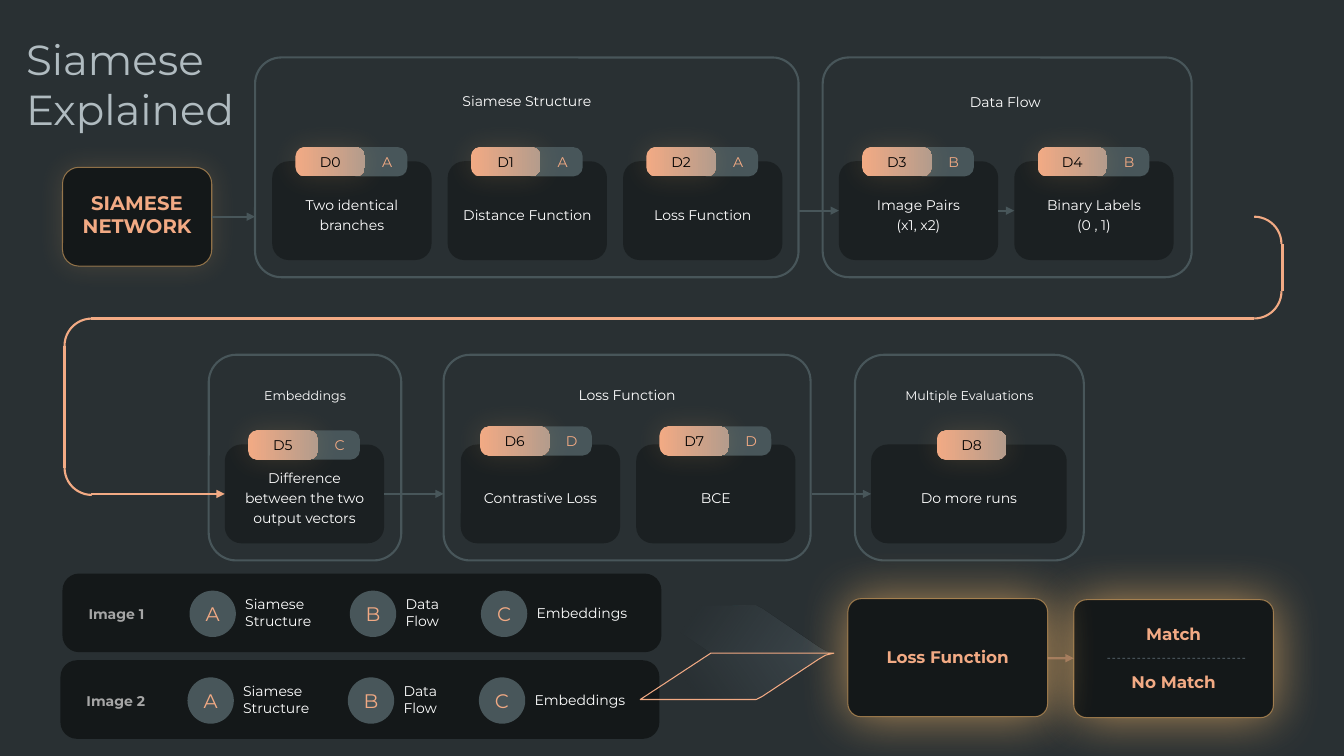
from dataclasses import dataclass
from typing import Optional

from lxml.etree import SubElement
from pptx import Presentation
from pptx.dml.color import RGBColor
from pptx.enum.dml import MSO_LINE
from pptx.enum.shapes import MSO_CONNECTOR, MSO_SHAPE
from pptx.enum.text import MSO_ANCHOR, PP_ALIGN
from pptx.oxml.ns import qn
from pptx.util import Cm, Pt

BACK = RGBColor(0x29, 0x30, 0x33)
DARK = RGBColor(0x14, 0x18, 0x19)
SLATE = RGBColor(0x48, 0x56, 0x5A)
PEACH = RGBColor(0xF2, 0xAA, 0x84)
SAND = RGBColor(0xB4, 0x9C, 0x8C)
GOLD = RGBColor(0xFF, 0xBE, 0x6C)
STEEL = RGBColor(0x3D, 0x47, 0x4C)
DASH = RGBColor(0x76, 0x89, 0x92)
MIST = RGBColor(0xB0, 0xBB, 0xC0)
GREY = RGBColor(0xA6, 0xA6, 0xA6)
WHITE = RGBColor(0xFF, 0xFF, 0xFF)
BLACK = RGBColor(0, 0, 0)
ROUND = MSO_SHAPE.ROUNDED_RECTANGLE
LEFT, MID = PP_ALIGN.LEFT, PP_ALIGN.CENTER


@dataclass
class Frame:
    title: str
    x: float
    y: float
    w: float
    h: float
    adj: float
    top: float
    size: int = 10
    shift: float = 0


@dataclass
class Step:
    code: str
    tag: str
    text: str
    x: float
    y: float
    w: float = 1.58
    dx: float = 0.23
    rise: float = 0.14


@dataclass
class Link:
    x1: float
    y1: float
    x2: float
    y2: float
    color: RGBColor = SLATE
    head: bool = True
    width: float = 1.5
    alpha: int = 100
    dash: bool = False


@dataclass
class Part:
    letter: str
    text: str
    x: float
    w: float


FRAMES = [
    Frame("Siamese Structure", 2.53, 0.57, 5.39, 2.18, 0.119, 0.85),
    Frame("Data Flow", 8.16, 0.57, 3.66, 2.18, 0.119, 0.86, shift=-0.02),
    Frame("Embeddings", 2.07, 3.52, 1.91, 2.04, 0.143, 3.76, 9),
    Frame("Loss Function", 4.4, 3.52, 3.64, 2.04, 0.128, 3.76),
    Frame("Multiple Evaluations", 8.48, 3.52, 2.27, 2.04, 0.142, 3.76, 9),
]
STEPS = [
    Step("D0", "A", "Two identical branches", 2.7, 1.6),
    Step("D1", "A", "Distance Function", 4.44, 1.6),
    Step("D2", "A", "Loss Function", 6.18, 1.6),
    Step("D3", "B", "Image Pairs\n(x1, x2)", 8.32, 1.6),
    Step("D4", "B", "Binary Labels\n(0 , 1)", 10.06, 1.6),
    Step("D5", "C", "Difference between the two output vectors", 2.23, 4.41),
    Step("D6", "D", "Contrastive Loss", 4.57, 4.41, dx=0.19, rise=0.18),
    Step("D7", "D", "BCE", 6.31, 4.41, rise=0.18),
    Step("D8", "", "Do more runs", 8.64, 4.41, 1.94, 0.65),
]
LINKS = [
    Link(2.1, 2.15, 2.53, 2.15), Link(7.92, 2.09, 8.32, 2.09),
    Link(9.9, 2.09, 10.06, 2.09), Link(3.81, 4.9, 4.4, 4.9),
    Link(8.05, 4.9, 8.64, 4.9),
    # Route between the two rows
    Link(12.72, 2.42, 12.72, 2.89, PEACH, False),
    Link(12.44, 3.16, 0.9, 3.16, PEACH, False),
    Link(0.64, 3.43, 0.64, 4.64, PEACH, False),
    Link(0.9, 4.9, 2.23, 4.9, PEACH),
]
BENDS = [(12.17, 2.15, 0), (12.17, 2.62, 90), (0.64, 4.37, 180), (0.64, 3.16, 270)]
PARTS = [
    Part("A", "Siamese Structure", 1.88, 1.53),
    Part("B", "Data\nFlow", 3.47, 1.36),
    Part("C", "Embeddings", 4.77, 1.52),
]


def unit(inch: float) -> Cm:
    return Cm(inch * 2.54)


def fade(node, share: float) -> None:
    for tint in node.iter(qn("a:srgbClr")):
        SubElement(tint, qn("a:alpha"), val=str(int(share * 1000)))


def blend(fill, first: RGBColor, last: RGBColor, angle: float = 0) -> None:
    fill.gradient()
    fill.gradient_angle = angle
    for stop, color in zip(fill.gradient_stops, (first, last)):
        stop.color.rgb = color


def block(slide, x: float, y: float, w: float, h: float, kind=ROUND, adj=None,
          fill=None, line=None, width: float = 1.5):
    shape = slide.shapes.add_shape(kind, unit(x), unit(y), unit(w), unit(h))
    shape.shadow.inherit = False
    if adj is not None:
        shape.adjustments[0] = adj
    if fill is None:
        shape.fill.background()
    else:
        shape.fill.solid()
        shape.fill.fore_color.rgb = fill
    if line is None:
        shape.line.fill.background()
    else:
        shape.line.color.rgb = line
        shape.line.width = Pt(width)
    return shape


def glow(shape, share: float, blur: float) -> None:
    effect = shape._element.spPr.find(qn("a:effectLst"))
    shade = SubElement(effect, qn("a:outerShdw"), blurRad=str(Pt(blur)), dist="0",
                       algn="ctr", rotWithShape="0")
    SubElement(shade, qn("a:srgbClr"), val=str(GOLD))
    fade(shade, share)


def write(shape, text: str, size: float, color: RGBColor, inset=(0, 0, 0, 0),
          align=MID, bold: bool = False, pitch: float = 0, gap: float = 0,
          anchor=MSO_ANCHOR.MIDDLE, wrap: bool = True) -> None:
    frame = shape.text_frame
    frame.word_wrap = wrap
    frame.vertical_anchor = anchor
    (frame.margin_left, frame.margin_top,
     frame.margin_right, frame.margin_bottom) = map(unit, inset)
    frame.text = text
    for index, para in enumerate(frame.paragraphs):
        para.alignment = align
        para.font.name = "Montserrat"
        para.font.size = Pt(size)
        para.font.bold = bold
        para.font.color.rgb = color
        if pitch:
            para.line_spacing = Pt(pitch)
        if gap and index:
            para.space_before = Pt(gap)


def label(slide, x: float, y: float, w: float, h: float, *args, **style) -> None:
    box = slide.shapes.add_textbox(unit(x), unit(y), unit(w), unit(h))
    write(box, *args, **style)


def join(slide, link: Link) -> None:
    line = slide.shapes.add_connector(MSO_CONNECTOR.STRAIGHT, *map(
        unit, (link.x1, link.y1, link.x2, link.y2)))
    line.line.color.rgb = link.color
    line.line.width = Pt(link.width)
    if link.dash:
        line.line.dash_style = MSO_LINE.DASH
    props = line._element.spPr
    stroke = props.find(qn("a:ln"))
    if link.alpha < 100:
        fade(stroke, link.alpha)
    if link.head:
        SubElement(stroke, qn("a:tailEnd"), type="triangle")
    SubElement(props, qn("a:effectLst"))


def step(slide, item: Step) -> None:
    card = block(slide, item.x, item.y, item.w, 0.98, fill=DARK)
    fade(card._element.spPr.find(qn("a:solidFill")), 65)
    write(card, item.text, 10, WHITE, (0.1, 0.1, 0.1, 0.05), pitch=14)
    x, y = item.x + item.dx, item.y - item.rise
    if item.tag:
        tag = block(slide, x + 0.51, y, 0.6, 0.29, adj=0.318, fill=SLATE)
        write(tag, item.tag, 10, PEACH, (0.2, 0, 0, 0))
    chip = block(slide, x, y, 0.69, 0.29, adj=0.318)
    blend(chip.fill, PEACH, SAND)
    glow(chip, 15, 20)
    write(chip, item.code, 10, BLACK)


def panel(slide, name: str, dx: float, dy: float) -> None:
    block(slide, 0.62 + dx, 5.69 + dy, 5.94, 0.78, adj=0.212, fill=DARK)
    label(slide, 0.78 + dx, 5.86 + dy, 0.94, 0.46, name, 10, GREY,
          (0.1, 0, 0.1, 0), LEFT, True)
    for part in PARTS:
        body = block(slide, part.x + dx, 5.85 + dy, part.w, 0.46, adj=0.318)
        write(body, part.text, 10, WHITE, (0.51, 0, 0, 0), LEFT)
        disc = block(slide, part.x + dx, 5.86 + dy, 0.46, 0.46, MSO_SHAPE.OVAL, fill=SLATE)
        write(disc, part.letter, 14, PEACH)


def sheet(slide, top: float, flip: bool, line: Optional[RGBColor]) -> None:
    dots = [(1.92, 0), (0.7, 0), (0, 0.46), (1.09, 0.46), (1.15, 0.46),
            (1.21, 0.43), (1.77, 0.06), (1.84, 0.02)]
    dots = [(unit(6.35 + x), unit(top + (0.46 - y if flip else y))) for x, y in dots]
    build = slide.shapes.build_freeform(*dots[0])
    build.add_line_segments(dots[1:], close=True)
    shape = build.convert_to_shape()
    shape.shadow.inherit = False
    blend(shape.fill, STEEL, STEEL, 144 if flip else 216)
    stops = shape._element.spPr.find(qn("a:gradFill")).findall(".//" + qn("a:gs"))
    stops[1].set("pos", "74000")
    fade(stops[1], 0)
    if line is None:
        shape.line.fill.background()
    else:
        shape.line.color.rgb = line
        shape.line.width = Pt(0.75)


def lit(slide, x: float, y: float, w: float, h: float, adj: float, share: float, blur: float):
    shape = block(slide, x, y, w, h, adj=adj, fill=DARK, line=GOLD, width=0.75)
    fade(shape._element.spPr.find(qn("a:ln")), 50)
    glow(shape, share, blur)
    return shape


def main() -> None:
    deck = Presentation()
    deck.slide_width, deck.slide_height = unit(13.33), unit(7.5)
    slide = deck.slides.add_slide(deck.slide_layouts[6])
    slide.background.fill.solid()
    slide.background.fill.fore_color.rgb = BACK

    # Heading and start box
    label(slide, 0.16, 0.28, 2.4, 1.11, "Siamese\nExplained", 30, MIST,
          (0.1, 0.05, 0.1, 0.05), LEFT, anchor=MSO_ANCHOR.TOP)
    start = lit(slide, 0.62, 1.66, 1.48, 0.98, 0.167, 15, 20)
    write(start, "SIAMESE\nNETWORK", 14, PEACH, (0.1, 0, 0.1, 0.05), bold=True)

    # Stages, steps and route
    for item in FRAMES:
        block(slide, item.x, item.y, item.w, item.h, adj=item.adj, line=SLATE)
        label(slide, item.x + item.shift, item.top, item.w, 0.28, item.title,
              item.size, WHITE, (0.1, 0.05, 0.1, 0.05), pitch=14)
    for item in STEPS:
        step(slide, item)
    for link in LINKS:
        join(slide, link)
    for x, y, turn in BENDS:
        bend = block(slide, x, y, 0.54, 0.54, MSO_SHAPE.ARC, line=PEACH)
        bend.rotation = turn

    # Image rows and the fold towards the result
    panel(slide, "Image 1", 0, 0)
    panel(slide, "Image 2", -0.02, 0.86)
    sheet(slide, 6.01, True, None)
    sheet(slide, 6.48, False, PEACH)

    # Result
    match = lit(slide, 10.65, 5.95, 1.98, 1.17, 0.111, 63, 37.4)
    write(match, "Match\nNo Match", 12, PEACH, (0.2, 0, 0.2, 0.05), bold=True,
          pitch=17, gap=17)
    join(slide, Link(12.35, 6.53, 10.98, 6.53, DASH, False, 0.5, 80, True))
    loss = lit(slide, 8.41, 5.94, 1.98, 1.17, 0.111, 63, 37.4)
    write(loss, "Loss Function", 12, PEACH, (0.2, 0, 0.2, 0.05), bold=True, pitch=17)
    join(slide, Link(10.39, 6.53, 10.65, 6.53, PEACH, alpha=40))

    deck.save("out.pptx")


if __name__ == "__main__":
    main()
